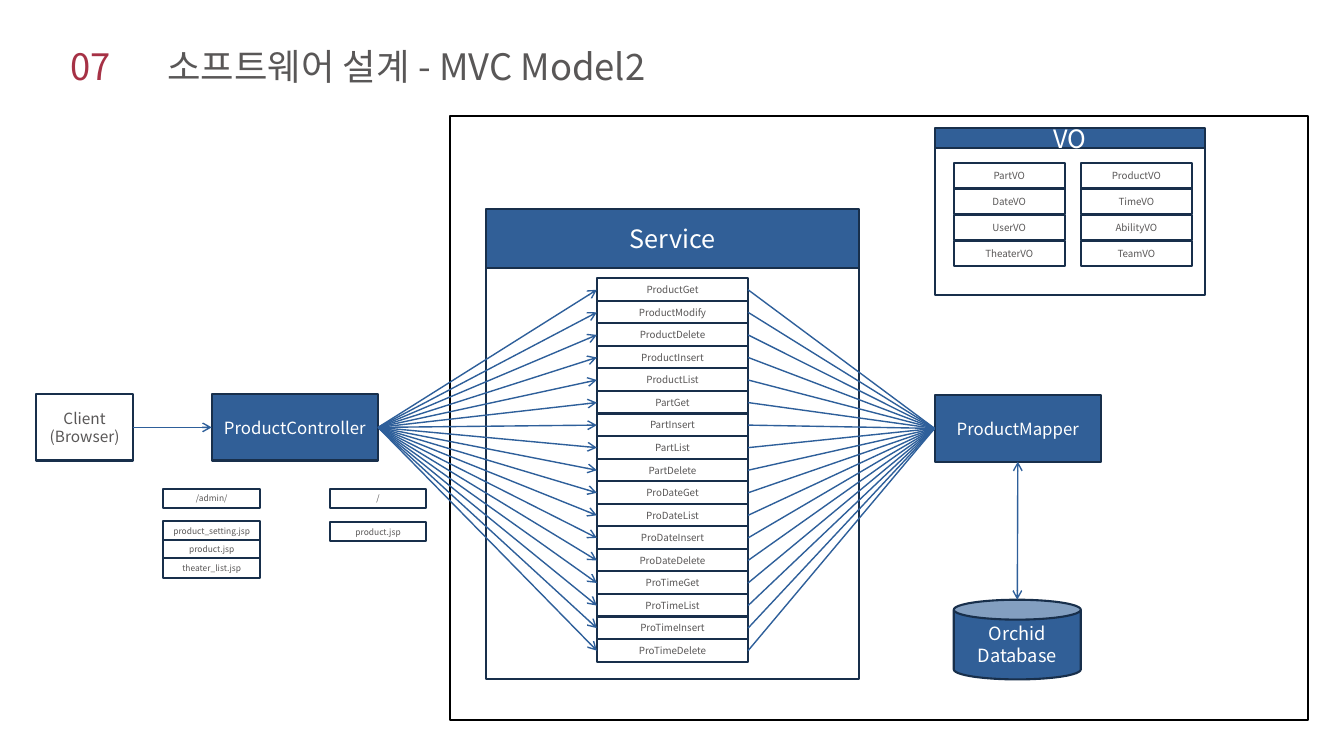
from lxml import etree
from pptx import Presentation
from pptx.dml.color import RGBColor
from pptx.enum.shapes import MSO_CONNECTOR, MSO_SHAPE
from pptx.enum.text import MSO_ANCHOR, PP_ALIGN
from pptx.oxml.ns import qn
from pptx.util import Inches, Pt

RECTANGLE = MSO_SHAPE.RECTANGLE
CAN = MSO_SHAPE.CAN
STRAIGHT = MSO_CONNECTOR.STRAIGHT
MIDDLE = MSO_ANCHOR.MIDDLE
LEFT = PP_ALIGN.LEFT
CENTER = PP_ALIGN.CENTER
TOP_SIDE, LEFT_SIDE, BOTTOM_SIDE, RIGHT_SIDE = range(4)

FONT = "Noto Sans CJK KR"
COLORS = {
    "white": "FFFFFF",
    "black": "000000",
    "blue": "315F97",
    "navy": "182F4B",
    "arrow": "2E5F9A",
    "gray": "595757",
    "red": "A63145",
}

SERVICES = [
    "ProductGet", "ProductModify", "ProductDelete", "ProductInsert", "ProductList",
    "PartGet", "PartInsert", "PartList", "PartDelete",
    "ProDateGet", "ProDateList", "ProDateInsert", "ProDateDelete",
    "ProTimeGet", "ProTimeList", "ProTimeInsert", "ProTimeDelete",
]
VALUE_OBJECTS = {
    9.46: ["PartVO", "DateVO", "UserVO", "TheaterVO"],
    10.72: ["ProductVO", "TimeVO", "AbilityVO", "TeamVO"],
}
VIEWS = [
    (1.62, "/admin/", 5.17, ["product_setting.jsp", "product.jsp", "theater_list.jsp"]),
    (3.27, "/", 5.18, ["product.jsp"]),
]


def rgb(name):
    return RGBColor.from_string(COLORS[name])


class Diagram:
    def __init__(self, page):
        self.shapes = page.shapes

    def span(self, para, text, size, color):
        span = para.add_run()
        span.text = text
        span.font.size = Pt(size)
        span.font.name = FONT
        span.font.color.rgb = rgb(color)
        east_asian = etree.SubElement(span.font._element, qn("a:ea"))
        east_asian.set("typeface", FONT)

    def title(self, number, text):
        box = self.shapes.add_textbox(Inches(0.6), Inches(0.38), Inches(6.93), Inches(0.54))
        frame = box.text_frame
        frame.word_wrap = True
        frame.vertical_anchor = MIDDLE
        para = frame.paragraphs[0]
        para.alignment = LEFT
        tabs = etree.SubElement(para._p.get_or_add_pPr(), qn("a:tabLst"))
        etree.SubElement(tabs, qn("a:tab"), pos=str(Inches(0.96)), algn="l")
        self.span(para, number + "\t", 26, "red")
        self.span(para, text, 26, "gray")

    def box(self, left, top, width, height, lines=(), size=7, fill="white",
            color="gray", outline="navy", kind=RECTANGLE):
        box = self.shapes.add_shape(
            kind, Inches(left), Inches(top), Inches(width), Inches(height))
        box.shadow.inherit = False
        if fill:
            box.fill.solid()
            box.fill.fore_color.rgb = rgb(fill)
        else:
            box.fill.background()
        box.line.color.rgb = rgb(outline)
        box.line.width = Pt(1.5)
        frame = box.text_frame
        frame.word_wrap = True
        frame.vertical_anchor = MIDDLE
        frame.margin_left = frame.margin_right = 0
        frame.margin_top = frame.margin_bottom = 0
        for index, line in enumerate(lines):
            para = frame.add_paragraph() if index else frame.paragraphs[0]
            para.alignment = CENTER
            self.span(para, line, size, color)
        return box

    def stack(self, left, top, width, height, pitch, names, size):
        return [self.box(left, top + row * pitch, width, height, [name], size)
                for row, name in enumerate(names)]

    def link(self, source, source_side, target=None, target_side=None,
             end=(0, 0), heads=()):
        link = self.shapes.add_connector(
            STRAIGHT, source.left, source.top, Inches(end[0]), Inches(end[1]))
        link.begin_connect(source, source_side)
        if target is not None:
            link.end_connect(target, target_side)
        link.line.color.rgb = rgb("arrow")
        link.line.width = Pt(1)
        outline = link.line._get_or_add_ln()
        for head in heads:
            etree.SubElement(outline, qn("a:" + head), type="arrow")
        etree.SubElement(link._element.spPr, qn("a:effectLst"))


def main():
    deck = Presentation()
    deck.slide_width = Inches(13.33)
    deck.slide_height = Inches(7.5)
    page = deck.slides.add_slide(deck.slide_layouts[6])
    diagram = Diagram(page)

    diagram.title("07", "소프트웨어 설계 - MVC Model2")
    client = diagram.box(0.36, 3.91, 0.96, 0.66, ["Client", "(Browser)"], 11)
    controller = diagram.box(2.1, 3.91, 1.65, 0.66, ["ProductController"], 12, "blue", "white")
    diagram.box(4.46, 1.15, 8.51, 5.99, fill=None, outline="black")
    diagram.box(4.82, 2.16, 3.7, 4.58, fill=None)
    diagram.box(4.82, 2.07, 3.7, 0.59, ["Service"], 18, "blue", "white")
    diagram.box(9.27, 1.35, 2.68, 1.58, fill=None)
    diagram.box(9.27, 1.27, 2.68, 0.2, ["VO"], 18, "blue", "white")
    diagram.box(9.46, 5.95, 1.26, 0.79, ["Orchid", "Database"], 13, "blue", "white", kind=CAN)
    mapper = diagram.box(9.27, 3.92, 1.65, 0.66, ["ProductMapper"], 12, "blue", "white")

    for left, names in VALUE_OBJECTS.items():
        diagram.stack(left, 1.62, 1.1, 0.25, 0.257, names, 7)
    for left, address, top, files in VIEWS:
        diagram.box(left, 4.85, 0.96, 0.19, [address], 6)
        diagram.stack(left, top, 0.96, 0.19, 0.185, files, 6)

    pitch = (6.34 - 2.76) / (len(SERVICES) - 1)
    services = diagram.stack(5.92, 2.76, 1.5, 0.23, pitch, SERVICES, 7)
    for service in services:
        diagram.link(controller, RIGHT_SIDE, service, LEFT_SIDE, heads=["tailEnd"])
        diagram.link(service, RIGHT_SIDE, mapper, LEFT_SIDE)
    diagram.link(client, RIGHT_SIDE, controller, LEFT_SIDE, heads=["tailEnd"])
    diagram.link(mapper, BOTTOM_SIDE, end=(10.09, 5.95), heads=["headEnd", "tailEnd"])

    deck.save("out.pptx")


if __name__ == "__main__":
    main()
